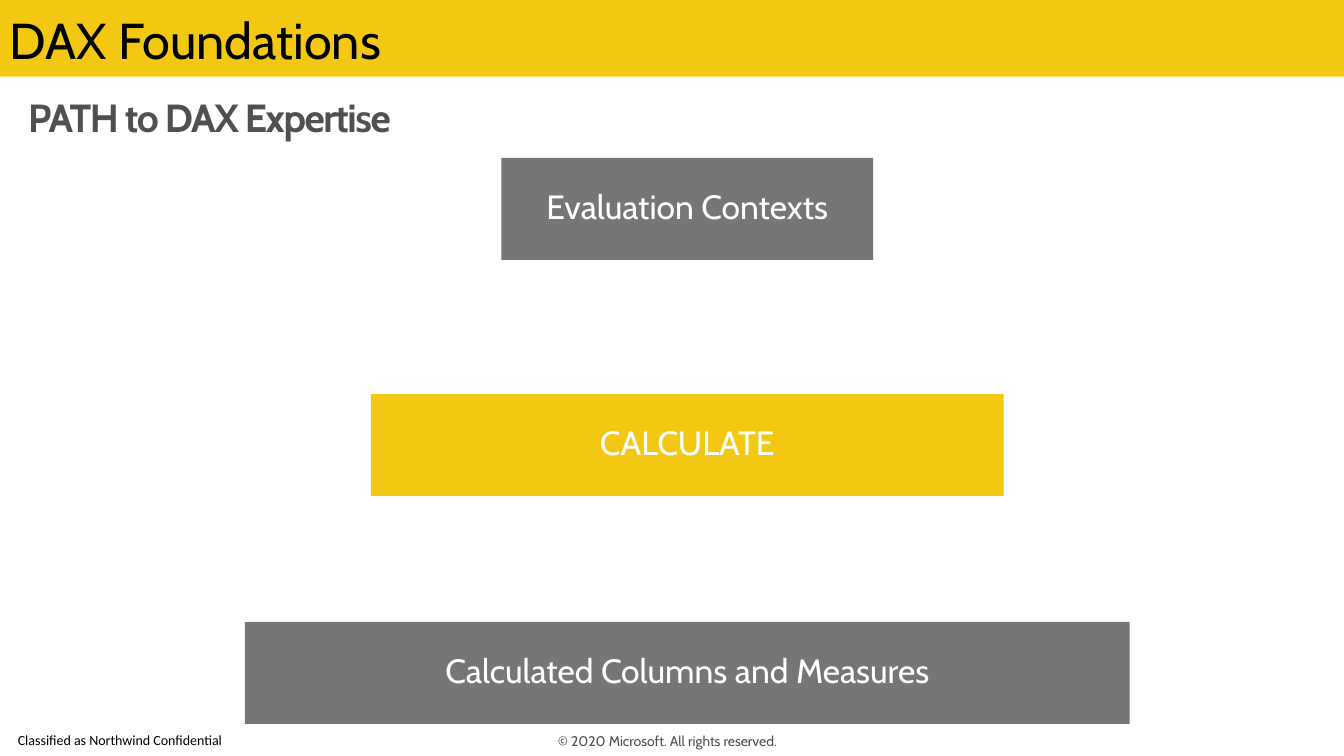
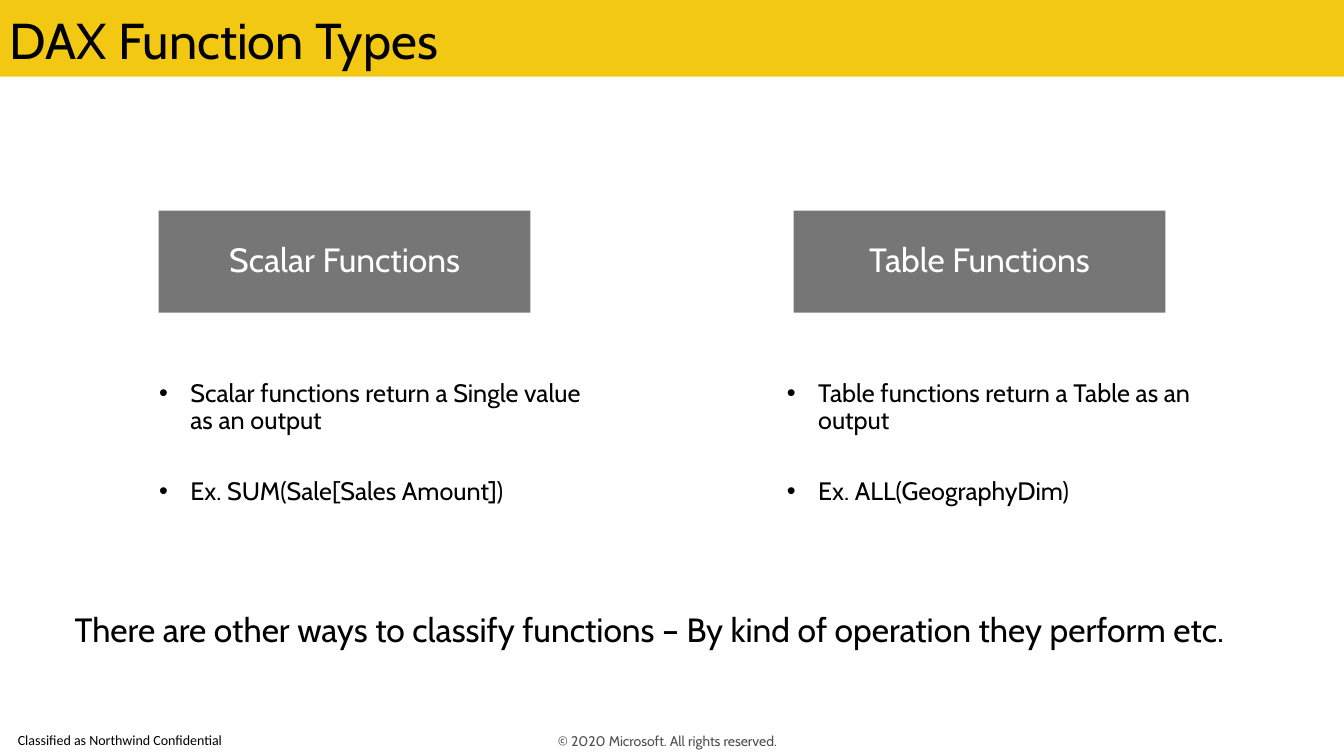
from lxml import etree
from pptx import Presentation
from pptx import util as u
from pptx.dml.color import RGBColor
from pptx.enum import shapes, text
from pptx.oxml.ns import qn

GOLD, GRAY, SLATE = "F2C812", "767676", "505050"
BLACK, WHITE = "000000", "FFFFFF"
WIDTH, HEIGHT = 33.87, 19.05
BAR = 2.57
SLIM = (0.25, 0.13, 0.25, 0.13)
WIDE = (0.51, 0.41, 0.51, 0.41)
LEFT, MID = text.PP_ALIGN.LEFT, text.PP_ALIGN.CENTER
TOP, CENTER = text.MSO_ANCHOR.TOP, text.MSO_ANCHOR.MIDDLE


def color(code):
    return RGBColor.from_string(code)


def place(shape, left, top, width, height):
    shape.left, shape.top = u.Cm(left), u.Cm(top)
    shape.width, shape.height = u.Cm(width), u.Cm(height)


def frame(shape, pads, anchor):
    body = shape.text_frame
    body.word_wrap = True
    body.auto_size = text.MSO_AUTO_SIZE.NONE
    body.vertical_anchor = anchor
    body.margin_left, body.margin_top, body.margin_right, body.margin_bottom = map(u.Cm, pads)
    return body


def write(para, words, size, ink, align=LEFT, lines=0.9, face="Cabin"):
    para.alignment = align
    para.line_spacing = lines
    run = para.add_run()
    run.text = words
    run.font.size = u.Pt(size)
    run.font.name = face
    run.font.color.rgb = color(ink)
    return run


def label(slide, at, words, size, ink, pads=SLIM, anchor=TOP, **style):
    box = slide.shapes.add_textbox(*map(u.Cm, at))
    body = frame(box, pads, anchor)
    return write(body.paragraphs[0], words, size, ink, **style)


def block(slide, left, top, width, height, fill):
    shape = slide.shapes.add_shape(
        shapes.MSO_SHAPE.RECTANGLE, *map(u.Cm, (left, top, width, height)))
    shape.shadow.inherit = False
    shape.fill.solid()
    shape.fill.fore_color.rgb = color(fill)
    shape.line.fill.background()
    return shape


def bar(slide, left, top, width, fill, words):
    shape = block(slide, left, top, width, BAR, fill)
    body = frame(shape, WIDE, CENTER)
    write(body.paragraphs[0], words, 24, WHITE, MID)


def bullets(slide, left, top, items):
    box = slide.shapes.add_textbox(*map(u.Cm, (left, top, 11.25, 3.45)))
    body = frame(box, SLIM, TOP)
    for i, words in enumerate(items):
        para = body.add_paragraph() if i else body.paragraphs[0]
        props = para._p.get_or_add_pPr()
        props.set("marL", str(u.Cm(0.79)))
        props.set("indent", str(u.Cm(-0.79)))
        font = etree.SubElement(props, qn("a:buFont"))
        font.set("typeface", "Arial")
        mark = etree.SubElement(props, qn("a:buChar"))
        mark.set("char", "•")
        if i:
            para.space_before = u.Pt(31)
        write(para, words, 18, BLACK)


def page(deck, words):
    slide = deck.slides.add_slide(deck.slide_layouts[5])
    title = slide.shapes.title
    band = block(slide, 0, 0, WIDTH, 1.93, GOLD)
    title.element.addprevious(band.element)
    place(title, 0, 0.1, 31.83, 1.83)
    body = frame(title, SLIM, TOP)
    write(body.paragraphs[0], words, 36, BLACK, lines=1.0)
    label(slide, (0.45, 18.31, 5.9, 0.74), "Classified as Northwind Confidential",
          10, BLACK, (0, 0, 0, 0), CENTER, face="Calibri")
    label(slide, (11.23, 18.36, 11.43, 0.64), "© 2020 Microsoft. All rights reserved.",
          10, SLATE, (0, 0, 0.25, 0), CENTER, align=MID, lines=1.0)
    return slide


def basics(deck):
    slide = page(deck, "DAX Foundations")
    run = label(slide, (0.3, 2.24, 32.39, 1.45), "PATH to DAX Expertise",
                28, SLATE, (0.41, 0.25, 0.41, 0.25))
    run.font.bold = True
    run._r.get_or_add_rPr().set("spc", "-100")
    axis = 17.32
    for top, width, fill, words in (
        (15.67, 22.3, GRAY, "Calculated Columns and Measures"),
        (9.93, 15.95, GOLD, "CALCULATE"),
        (3.98, 9.37, GRAY, "Evaluation Contexts"),
    ):
        bar(slide, axis - width / 2, top, width, fill, words)


def kinds(deck):
    slide = page(deck, "DAX Function Types")
    for left, inset, head, items in (
        (4.0, 3.76, "Scalar Functions",
         ("Scalar functions return a Single value as an output",
          "Ex. SUM(Sale[Sales Amount])")),
        (20.0, 19.58, "Table Functions",
         ("Table functions return a Table as an output",
          "Ex. ALL(GeographyDim)")),
    ):
        bar(slide, left, 5.31, 9.37, GRAY, head)
        bullets(slide, inset, 9.47, items)
    label(slide, (1.37, 15.04, 31.95, 1.75),
          "There are other ways to classify functions – By kind of operation they perform etc.",
          24, BLACK, WIDE)


def main():
    deck = Presentation()
    deck.slide_width, deck.slide_height = u.Cm(WIDTH), u.Cm(HEIGHT)
    basics(deck)
    kinds(deck)
    deck.save("out.pptx")


if __name__ == "__main__":
    main()
